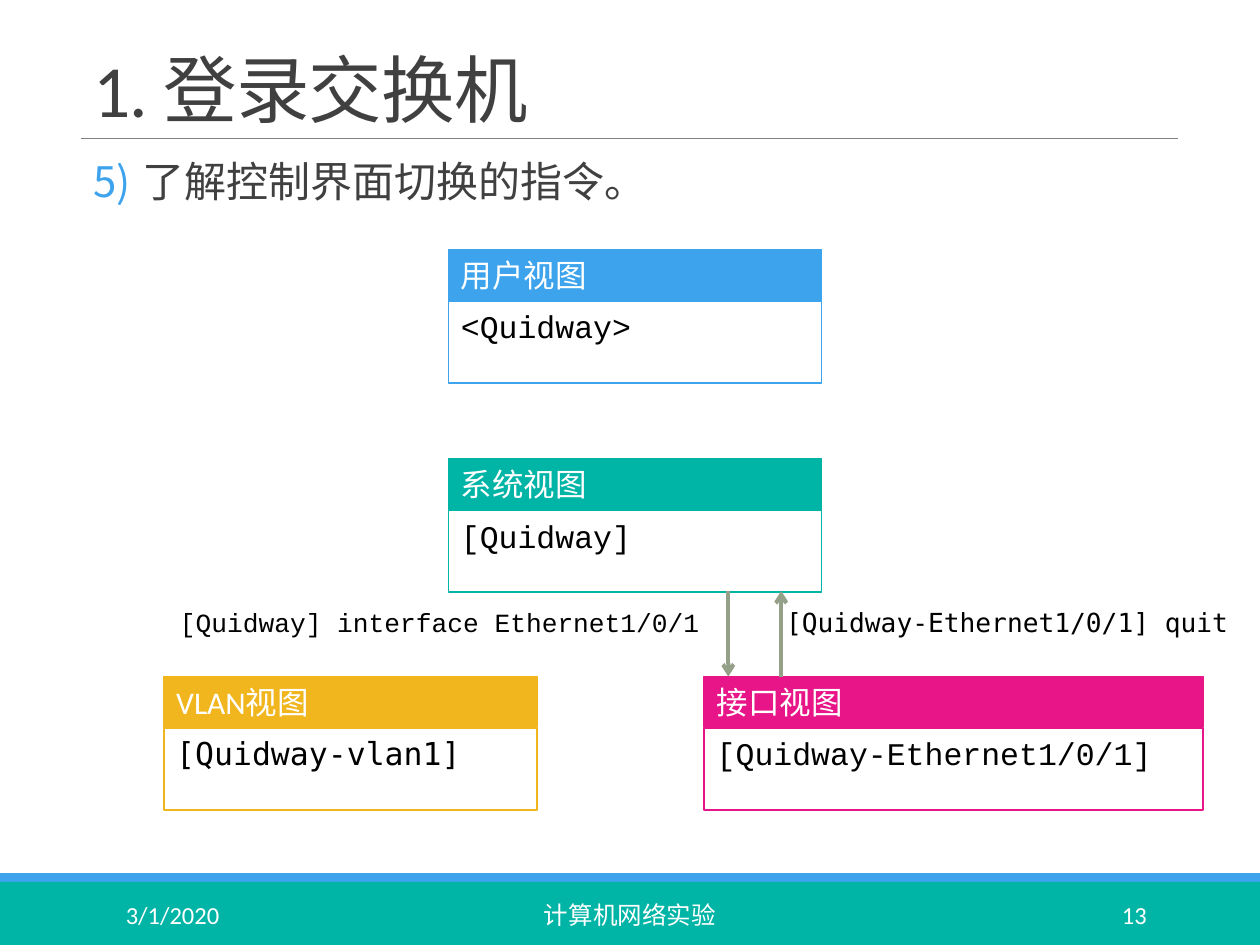
from dataclasses import dataclass

import pptx
import pptx.dml.color
import pptx.enum.shapes
import pptx.enum.text
import pptx.oxml.ns
import pptx.util
from lxml import etree

Inches = pptx.util.Inches
Pt = pptx.util.Pt
RGB = pptx.dml.color.RGBColor.from_string
Align = pptx.enum.text.PP_ALIGN
Anchor = pptx.enum.text.MSO_ANCHOR
qn = pptx.oxml.ns.qn


@dataclass(frozen=True)
class Theme:
    blue: str = "3DA3ED"
    teal: str = "00B4A6"
    pink: str = "E81588"
    amber: str = "F1B61E"
    arrow: str = "94A088"
    rule: str = "808080"
    dark: str = "404040"
    black: str = "000000"
    white: str = "FFFFFF"
    sans: str = "Calibri"
    mono: str = "Courier New"
    mono_alt: str = "DejaVu Sans Mono"
    title: float = 42
    body: float = 24
    view: float = 18
    command: float = 15
    footer: float = 14


T = Theme()


@dataclass(frozen=True)
class View:
    name: str
    prompt: str
    left: float
    top: float
    color: str
    width: float = 2.96
    font: str = T.mono


@dataclass(frozen=True)
class Command:
    text: str
    left: float
    width: float
    font: str


@dataclass(frozen=True)
class Footer:
    text: str
    left: float
    width: float
    align: Align


@dataclass(frozen=True)
class Arrow:
    x: float
    start: float
    end: float


HEADER_H = 0.4
PROMPT_H = 0.65
SYSTEM_BOTTOM = 4.69
LOWER_TOP = 5.37

VIEWS = [
    View("用户视图", "<Quidway>", 3.56, 1.98, T.blue),
    View("系统视图", "[Quidway]", 3.56, 3.64, T.teal),
    View("接口视图", "[Quidway-Ethernet1/0/1]", 5.59, LOWER_TOP, T.pink, width=3.96),
    View("VLAN视图", "[Quidway-vlan1]", 1.3, LOWER_TOP, T.amber, font=T.mono_alt),
]
ARROWS = [
    Arrow(5.78, SYSTEM_BOTTOM, LOWER_TOP),
    Arrow(6.2, LOWER_TOP, SYSTEM_BOTTOM),
]
COMMANDS = [
    Command("[Quidway] interface Ethernet1/0/1", 1.33, 4.46, T.mono),
    Command("[Quidway-Ethernet1/0/1] quit", 6.14, 3.77, T.mono_alt),
]
FOOTERS = [
    Footer("3/1/2020", 0.9, 2.03, Align.LEFT),
    Footer("计算机网络实验", 3.02, 3.96, Align.CENTER),
    Footer("13", 8.12, 1.08, Align.RIGHT),
]


def write(sp, text: str, *, size: float, color: str, font: str = T.sans,
          align=Align.LEFT, anchor=Anchor.TOP, line_spacing: float = 1.0):
    tf = sp.text_frame
    tf.word_wrap = True
    tf.vertical_anchor = anchor
    p = tf.paragraphs[0]
    p.alignment = align
    p.line_spacing = line_spacing
    r = p.add_run()
    r.text = text
    r.font.size = Pt(size)
    r.font.name = font
    r.font.color.rgb = RGB(color)
    return p


def add_box(slide, left: float, top: float, width: float, height: float):
    return slide.shapes.add_textbox(Inches(left), Inches(top), Inches(width), Inches(height))


def add_rect(slide, left: float, top: float, width: float, height: float,
             fill: str = "", line: str = ""):
    sp = slide.shapes.add_shape(pptx.enum.shapes.MSO_SHAPE.RECTANGLE, Inches(left),
                                Inches(top), Inches(width), Inches(height))
    sp.shadow.inherit = False
    if fill:
        sp.fill.solid()
        sp.fill.fore_color.rgb = RGB(fill)
    else:
        sp.fill.background()
    if line:
        sp.line.color.rgb = RGB(line)
        sp.line.width = Pt(1)
    else:
        sp.line.fill.background()
    return sp


def add_line(slide, x1: float, y1: float, x2: float, y2: float,
             color: str, width: float, arrow: bool = False) -> None:
    cn = slide.shapes.add_connector(pptx.enum.shapes.MSO_CONNECTOR.STRAIGHT,
                                    Inches(x1), Inches(y1), Inches(x2), Inches(y2))
    cn.line.color.rgb = RGB(color)
    cn.line.width = Pt(width)
    if arrow:
        etree.SubElement(cn.line._get_or_add_ln(), qn("a:tailEnd"), type="arrow")
    etree.SubElement(cn._element.spPr, qn("a:effectLst"))


def add_view(slide, view: View) -> None:
    header = add_rect(slide, view.left, view.top, view.width, HEADER_H, view.color, view.color)
    write(header, view.name, size=T.view, color=T.white)
    prompt_top = view.top + HEADER_H + 0.01
    frame = add_rect(slide, view.left, prompt_top, view.width, PROMPT_H, line=view.color)
    write(frame, view.prompt, size=T.view, color=T.black, font=view.font)


def number_paragraph(p, start: int, color: str) -> None:
    pPr = p._p.get_or_add_pPr()
    pPr.set("marL", str(Inches(0.49)))
    pPr.set("indent", str(Inches(-0.39)))
    clr = etree.SubElement(pPr, qn("a:buClr"))
    etree.SubElement(clr, qn("a:srgbClr"), val=color)
    etree.SubElement(pPr, qn("a:buFont"), typeface=T.sans)
    etree.SubElement(pPr, qn("a:buAutoNum"), type="arabicParenR", startAt=str(start))


def main() -> None:
    prs = pptx.Presentation()
    prs.slide_width, prs.slide_height = Inches(10), Inches(7.5)
    slide = prs.slides.add_slide(prs.slide_layouts[6])

    add_rect(slide, 0, 6.93, 10, 0.07, T.blue)
    add_rect(slide, 0, 7, 10, 0.5, T.teal)
    add_line(slide, 0.64, 1.1, 9.35, 1.1, T.rule, 0.5)

    p = write(add_box(slide, 0.64, 0.31, 8.71, 0.79), "1. 登录交换机", size=T.title,
              color=T.dark, anchor=Anchor.BOTTOM, line_spacing=0.85)
    p.runs[0].font._element.set("spc", "-50")

    body = add_box(slide, 0.64, 1.23, 8.71, 0.5)
    body.text_frame.margin_left = body.text_frame.margin_right = 0
    p = write(body, "了解控制界面切换的指令。", size=T.body, color=T.dark, line_spacing=0.9)
    number_paragraph(p, 5, T.blue)

    for footer in FOOTERS:
        write(add_box(slide, footer.left, 7.06, footer.width, 0.4), footer.text, size=T.footer,
              color=T.white, align=footer.align, anchor=Anchor.MIDDLE)
    for view in VIEWS:
        add_view(slide, view)
    for arrow in ARROWS:
        add_line(slide, arrow.x, arrow.start, arrow.x, arrow.end, T.arrow, 2.25, arrow=True)
    for command in COMMANDS:
        write(add_box(slide, command.left, 4.76, command.width, 0.35), command.text,
              size=T.command, color=T.black, font=command.font)

    prs.save("out.pptx")


if __name__ == "__main__":
    main()
